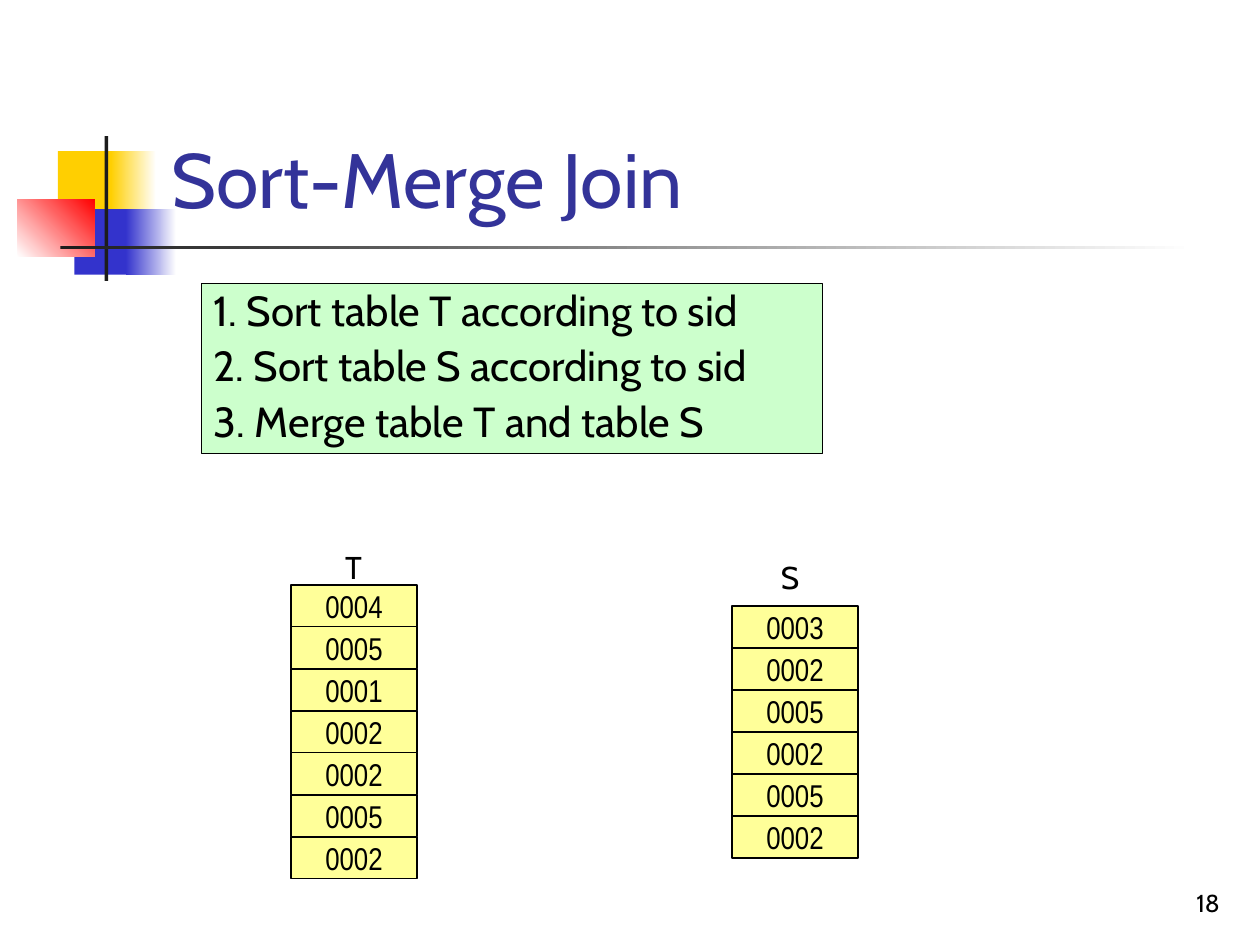
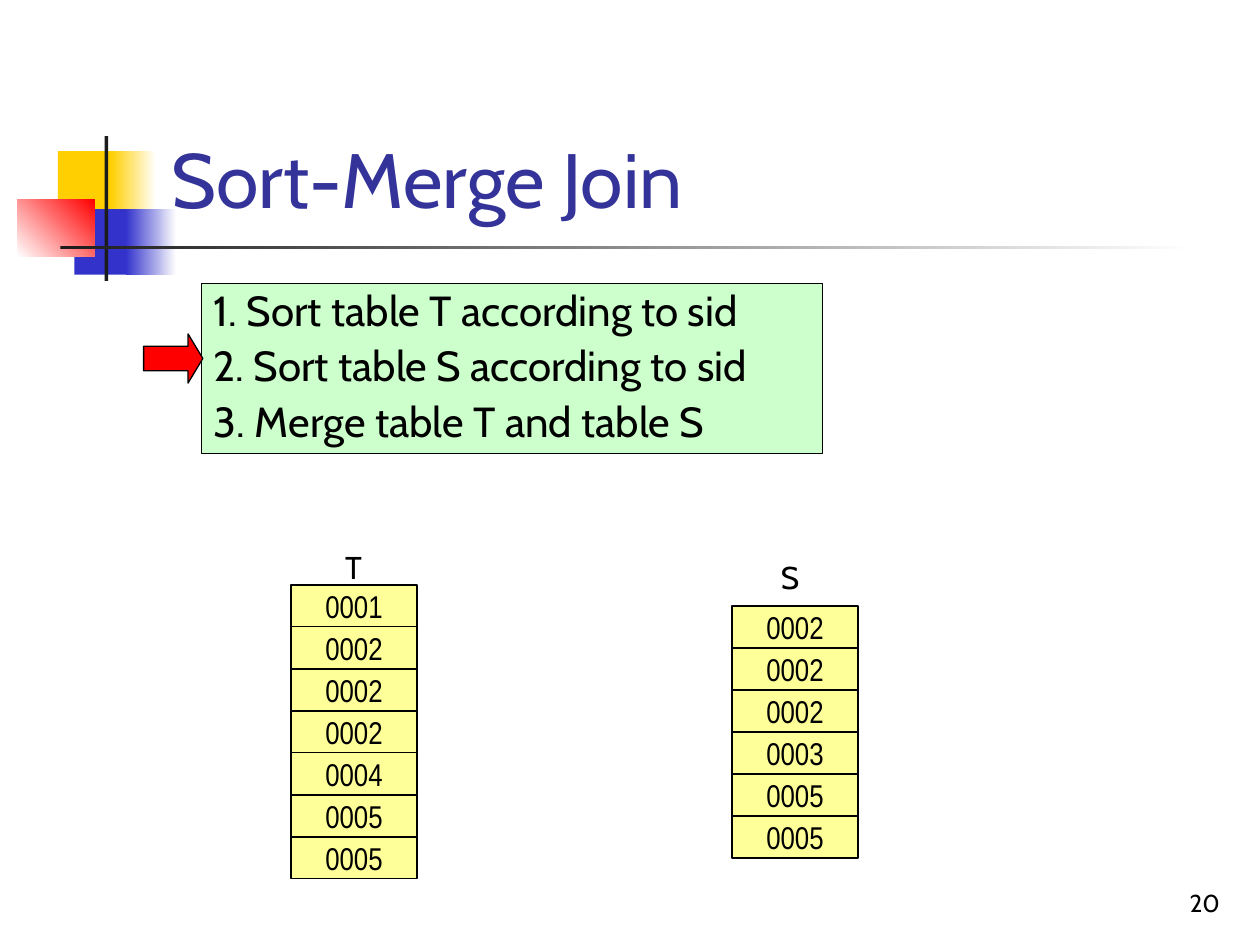
"""Two slides that show the steps of a sort-merge join on tables T and S."""
from pptx import Presentation
from pptx import util as u
from pptx.dml import color
from pptx.enum import shapes, text

# Content
TITLE = "Sort-Merge Join"
STEPS = ["1. Sort table T according to sid",
         "2. Sort table S according to sid",
         "3. Merge table T and table S"]
SLIDES = [
    {"number": "18", "arrow": False,
     "T": ["0004", "0005", "0001", "0002", "0002", "0005", "0002"],
     "S": ["0003", "0002", "0005", "0002", "0005", "0002"]},
    {"number": "20", "arrow": True,
     "T": ["0001", "0002", "0002", "0002", "0004", "0005", "0005"],
     "S": ["0002", "0002", "0002", "0003", "0005", "0005"]},
]

# Style
C = {"yellow": "FFCF01", "blue": "3333CC", "red": "FF0000", "dark": "1C1C1C",
     "white": "FFFFFF", "black": "000000", "title": "333399",
     "steps": "CCFFCC", "cell": "FFFF99"}
BODY, NARROW = "Cabin", "Arial Narrow"

# Layout: a grid of 10 columns by 7.5 rows; places are (column, row, width, height)
COLS, ROWS = 10, 7.5
WIDTH, HEIGHT = u.Inches(10), u.Inches(7.5)
TITLE_AT = (1.26, 0.23, 8.52, 1.6)
NUMBER_AT = (7.7, 6.83, 2.08, 0.5)
STEPS_AT = (1.6, 2.25, 4.93, 1.35)
ARROW_AT = (1.14, 2.65, 0.47, 0.39)
CELL_W, CELL_H = 1, 1 / 3
TABLES = {"T": {"cells": (2.31, 4.64), "label": (2.64, 4.3, 0.34, 0.4)},
          "S": {"cells": (5.81, 4.81), "label": (6.1, 4.38, 0.34, 0.4)}}
# Place, first colour, last colour (None for a plain fill), gradient angle
DECORATION = [
    ((0.46, 1.2, 0.48, 0.52), "yellow", None, 0),
    ((0.88, 1.2, 0.36, 0.52), "yellow", "white", 0),
    ((0.59, 1.66, 0.46, 0.52), "blue", None, 0),
    ((1, 1.66, 0.4, 0.52), "blue", "white", 0),
    ((0.14, 1.58, 0.61, 0.46), "white", "red", 45),
    ((0.83, 1.08, 0.03, 1.15), "dark", None, 0),
    ((0.48, 1.95, 9, 0.03), "dark", "white", 0),
]


def rgb(name):
    """Return the named colour."""
    return color.RGBColor.from_string(C[name])


def place(at):
    """Turn a grid place into slide lengths."""
    x, y, w, h = at
    return (round(x / COLS * WIDTH), round(y / ROWS * HEIGHT),
            round(w / COLS * WIDTH), round(h / ROWS * HEIGHT))


def add_box(parent, at, fill, line=None, kind="RECTANGLE"):
    """Add a filled preset shape without shadow; line is a width in points."""
    sp = parent.add_shape(shapes.MSO_SHAPE[kind], *place(at))
    sp.shadow.inherit = False
    sp.fill.solid()
    sp.fill.fore_color.rgb = rgb(fill)
    if line:
        sp.line.color.rgb = rgb("black")
        sp.line.width = u.Pt(line)
    else:
        sp.line.fill.background()
    return sp


def write(sp, lines, size, font=BODY, ink="black", align="LEFT",
          anchor="TOP", wrap=True, spacing=None, before=None):
    """Write one paragraph per line into a shape."""
    tf = sp.text_frame
    tf.word_wrap = wrap
    tf.vertical_anchor = text.MSO_ANCHOR[anchor]
    for i, line in enumerate(lines):
        p = tf.add_paragraph() if i else tf.paragraphs[0]
        p.alignment = text.PP_ALIGN[align]
        if spacing:
            p.line_spacing = spacing
        if before:
            p.space_before = u.Pt(before)
        r = p.add_run()
        r.text = line
        r.font.name, r.font.size = font, u.Pt(size)
        r.font.color.rgb = rgb(ink)


def add_text(slide, at, line, size, **style):
    """Add a text box that holds one line."""
    write(slide.shapes.add_textbox(*place(at)), [line], size, **style)


def add_frame(slide, number):
    """Add what all slides share: decoration, page number, title, steps."""
    for at, first, last, angle in DECORATION:
        sp = add_box(slide.shapes, at, first)
        if last:
            sp.fill.gradient()
            sp.fill.gradient_angle = angle
            for stop, name in zip(sp.fill.gradient_stops, (first, last)):
                stop.color.rgb = rgb(name)
    add_text(slide, NUMBER_AT, number, 14, align="RIGHT", anchor="BOTTOM")
    add_text(slide, TITLE_AT, TITLE, 44, ink="title", anchor="BOTTOM")
    write(add_box(slide.shapes, STEPS_AT, "steps", 0.74), STEPS, 24,
          spacing=0.9, before=6)


def add_column(slide, name, values):
    """Add a labelled, grouped stack of cells."""
    x, y = TABLES[name]["cells"]
    group = slide.shapes.add_group_shape()
    for row, value in enumerate(values):
        sp = add_box(group.shapes, (x, y + row * CELL_H, CELL_W, CELL_H),
                     "cell", 0.99)
        write(sp, [value], 18, font=NARROW, align="CENTER", anchor="MIDDLE",
              wrap=False)
    add_text(slide, TABLES[name]["label"], name, 18, wrap=False)


prs = Presentation()
prs.slide_width, prs.slide_height = WIDTH, HEIGHT
for content in SLIDES:
    slide = prs.slides.add_slide(prs.slide_layouts[6])
    add_frame(slide, content["number"])
    if content["arrow"]:
        arrow = add_box(slide.shapes, ARROW_AT, "red", 0.74, "RIGHT_ARROW")
        arrow.adjustments[0], arrow.adjustments[1] = 0.5, 0.3
    for name in TABLES:
        add_column(slide, name, content[name])
prs.save("out.pptx")
